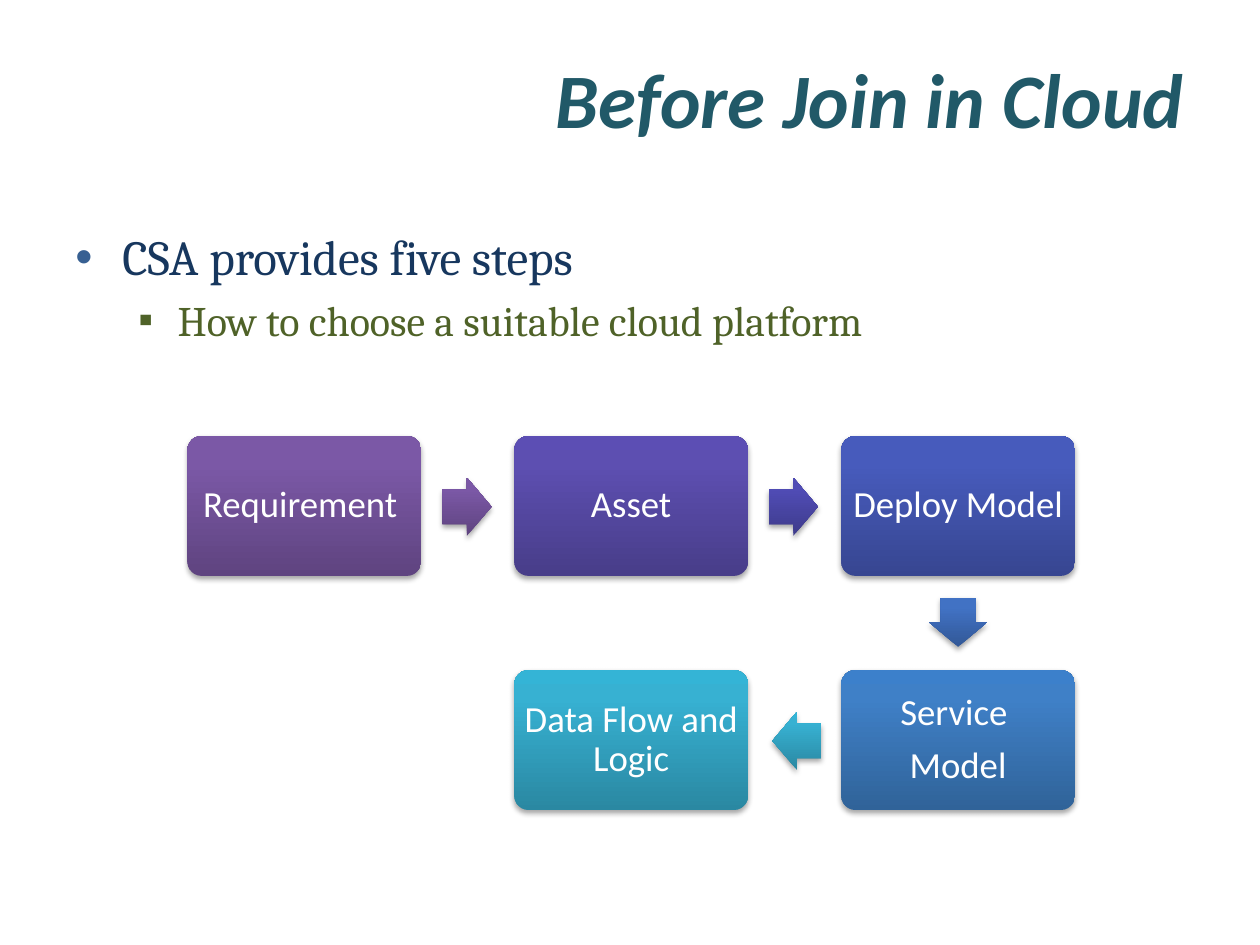
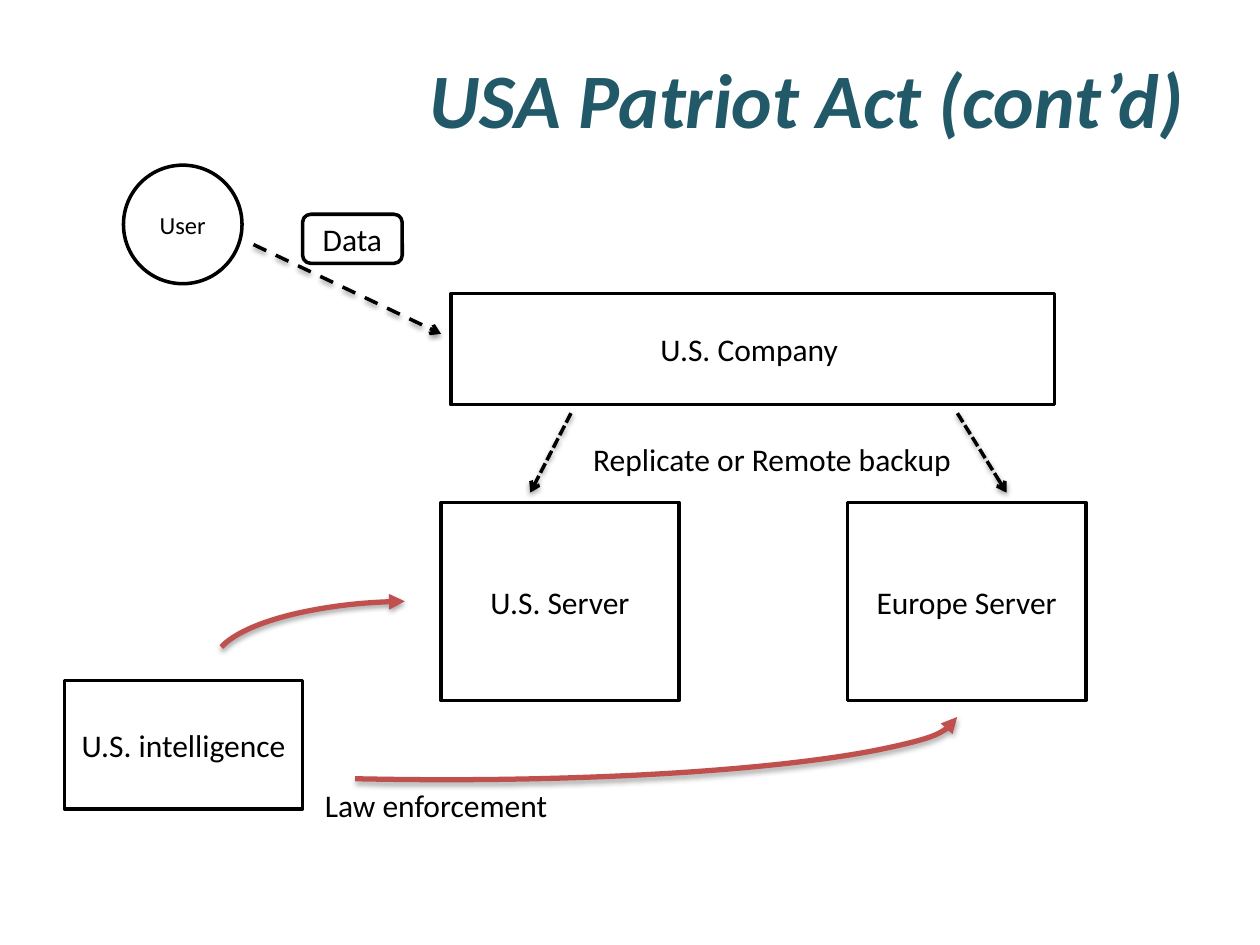
from copy import deepcopy

from lxml.etree import SubElement
from pptx import Presentation
from pptx.dml.color import RGBColor
from pptx.enum.dml import MSO_LINE
from pptx.enum.shapes import MSO_CONNECTOR, MSO_SHAPE as SHAPE
from pptx.enum.text import MSO_ANCHOR as ANCHOR, MSO_AUTO_SIZE, PP_ALIGN as ALIGN
from pptx.oxml.ns import qn
from pptx.util import Cm, Pt

COLORS = {
    "title": "215968",
    "navy": "17375E",
    "bullet": "376092",
    "green": "4F6228",
    "white": "FFFFFF",
    "black": "000000",
    "red": "C0504D",
}
# Stops from the bottom edge (0 %) over 80 % to the top edge (100 %)
GRADIENTS = {
    "purple": ("5F4480", "7B58A6", "7C57A8"),
    "violet": ("483D89", "5D4FB1", "5C4EB4"),
    "indigo": ("3E3B8B", "504CB5", "4F4BB8"),
    "royal": ("374691", "475BBC", "455ABF"),
    "blue": ("325897", "4172C4", "3F72C7"),
    "azure": ("306399", "3F80C7", "3C80CB"),
    "teal": ("2A88A2", "37B1D2", "34B4D6"),
}


def add_text(paragraph, text, size, color, font="Calibri"):
    run = paragraph.add_run()
    run.text = text
    run.font.name = font
    run.font.size = Pt(size)
    run.font.color.rgb = RGBColor.from_string(COLORS[color])
    return run


def add_shadow(shape, opacity, distance):
    properties = shape._element.spPr
    effects = properties.find(qn("a:effectLst"))
    if effects is None:
        effects = SubElement(properties, qn("a:effectLst"))
    shadow = SubElement(effects, qn("a:outerShdw"), blurRad=str(Pt(3.1)),
                        dist=str(Pt(distance)), dir="5400000", rotWithShape="0")
    color = SubElement(shadow, qn("a:srgbClr"), val=COLORS["black"])
    SubElement(color, qn("a:alpha"), val=str(opacity * 1000))


presentation = Presentation()
presentation.slide_width, presentation.slide_height = Cm(25.4), Cm(19.05)

# Slides with their shared title style
slides = []
for heading in ("Before Join in Cloud", "USA Patriot Act (cont’d)"):
    slide = presentation.slides.add_slide(presentation.slide_layouts[5])
    title = slide.shapes.title
    title.left, title.top, title.width, title.height = Cm(1.27), Cm(0.76), Cm(22.86), Cm(2.41)
    title.text_frame.auto_size = MSO_AUTO_SIZE.NONE
    title.text_frame.vertical_anchor = ANCHOR.MIDDLE
    paragraph = title.text_frame.paragraphs[0]
    paragraph.alignment = ALIGN.RIGHT
    run = add_text(paragraph, heading, 44, "title")
    run.font.bold = run.font.italic = True
    slides.append(slide)
steps_slide, patriot_slide = slides

# Slide 1: bulleted introduction
body = steps_slide.shapes.add_textbox(Cm(1.27), Cm(4.45), Cm(22.86), Cm(12.57))
frame = body.text_frame
frame.word_wrap = True
bullets = [
    ("CSA provides five steps", 28, "navy", "•", "bullet", 0.95, 0.95),
    ("How to choose a suitable cloud platform", 24, "green", "▪", "green", 2.06, 0.79),
]
for level, (text, size, color, mark, mark_color, margin, hanging) in enumerate(bullets):
    paragraph = frame.add_paragraph() if level else frame.paragraphs[0]
    paragraph.level = level
    properties = paragraph._p.get_or_add_pPr()
    properties.set("marL", str(Cm(margin)))
    properties.set("indent", str(-Cm(hanging)))
    bullet_color = SubElement(properties, qn("a:buClr"))
    SubElement(bullet_color, qn("a:srgbClr"), val=COLORS[mark_color])
    SubElement(properties, qn("a:buFont"), typeface="Arial")
    SubElement(properties, qn("a:buChar"), char=mark)
    if level:
        paragraph.space_before = Pt(0.2 * size)
    add_text(paragraph, text, size, color, "Cambria")

# Slide 1: five steps on a grid, and the arrows between them
GRID_LEFT, GRID_TOP, COLUMN_PITCH, ROW_PITCH = 3.78, 8.79, 6.59, 4.72
steps = [
    (["Requirement "], 0, 0, "purple"),
    (["Asset"], 1, 0, "violet"),
    (["Deploy Model"], 2, 0, "royal"),
    (["Service ", "Model"], 2, 1, "azure"),
    (["Data Flow and Logic"], 1, 1, "teal"),
]
flow = [
    (SHAPE.ROUNDED_RECTANGLE, GRID_LEFT + column * COLUMN_PITCH, GRID_TOP + row * ROW_PITCH,
     4.71, 2.82, (0.1,), gradient, lines)
    for lines, column, row, gradient in steps
]
arrows = [
    (SHAPE.RIGHT_ARROW, 8.92, 9.63, 0.99, 1.17, "purple"),
    (SHAPE.RIGHT_ARROW, 15.5, 9.63, 0.99, 1.17, "indigo"),
    (SHAPE.DOWN_ARROW, 18.73, 12.05, 1.17, 0.99, "blue"),
    (SHAPE.LEFT_ARROW, 15.57, 14.35, 0.99, 1.17, "teal"),
]
flow += [(*arrow[:5], (0.6, 0.5), arrow[5], []) for arrow in arrows]

for preset, left, top, width, height, adjustments, gradient, lines in flow:
    shape = steps_slide.shapes.add_shape(preset, Cm(left), Cm(top), Cm(width), Cm(height))
    shape.shadow.inherit = False
    for index, value in enumerate(adjustments):
        shape.adjustments[index] = value
    shape.line.fill.background()
    shape.fill.gradient()
    shape.fill.gradient_angle = 90
    stop_list = next(shape._element.spPr.iter(qn("a:gsLst")))
    stop_list.insert(1, deepcopy(stop_list[0]))
    for stop, position, color in zip(shape.fill.gradient_stops, (0, 0.8, 1), GRADIENTS[gradient]):
        stop.position = position
        stop.color.rgb = RGBColor.from_string(color)
    add_shadow(shape, 35, 1.8)

    frame = shape.text_frame
    frame.vertical_anchor = ANCHOR.MIDDLE
    frame.margin_left = frame.margin_right = Cm(0.1)
    for index, line in enumerate(lines):
        paragraph = frame.add_paragraph() if index else frame.paragraphs[0]
        paragraph.alignment = ALIGN.CENTER
        paragraph.line_spacing = 0.9
        paragraph.space_after = Pt(7.35)
        add_text(paragraph, line, 21, "white")

# Slide 2: outlined parties and servers
outlined = [
    ("U.S. Server", SHAPE.RECTANGLE, 8.89, 10.13, 4.8, 3.99, 18),
    ("Europe Server", SHAPE.RECTANGLE, 17.09, 10.13, 4.8, 3.99, 18),
    ("User", SHAPE.OVAL, 2.49, 3.33, 2.39, 2.39, 14),
    ("U.S. Company ", SHAPE.RECTANGLE, 9.09, 5.92, 12.17, 2.24, 18),
    ("Data", SHAPE.ROUNDED_RECTANGLE, 6.1, 4.32, 2.01, 0.99, 18),
    ("U.S. intelligence", SHAPE.RECTANGLE, 1.3, 13.72, 4.8, 2.59, 18),
]
for text, preset, left, top, width, height, size in outlined:
    shape = patriot_slide.shapes.add_shape(preset, Cm(left), Cm(top), Cm(width), Cm(height))
    shape.shadow.inherit = False
    shape.fill.background()
    shape.line.color.rgb = RGBColor.from_string(COLORS["black"])
    shape.line.width = Pt(2)
    shape.text_frame.vertical_anchor = ANCHOR.MIDDLE
    paragraph = shape.text_frame.paragraphs[0]
    paragraph.alignment = ALIGN.CENTER
    add_text(paragraph, text, size, "black")

# Slide 2: dashed data paths
data_paths = [
    (5.11, 4.93, 8.89, 6.73, MSO_LINE.DASH),
    (11.51, 8.33, 10.69, 9.93, MSO_LINE.SQUARE_DOT),
    (19.3, 8.33, 20.29, 9.93, MSO_LINE.SQUARE_DOT),
]
for start_x, start_y, end_x, end_y, dash in data_paths:
    connector = patriot_slide.shapes.add_connector(
        MSO_CONNECTOR.STRAIGHT, Cm(start_x), Cm(start_y), Cm(end_x), Cm(end_y))
    connector.line.color.rgb = RGBColor.from_string(COLORS["black"])
    connector.line.width = Pt(2)
    connector.line.dash_style = dash
    SubElement(connector._element.spPr.find(qn("a:ln")), qn("a:tailEnd"), type="arrow")
    add_shadow(connector, 38, 1.6)

# Slide 2: curved law enforcement arrows, angles in degrees
access_arcs = [
    (4.29, 12.12, 8.2, 2.59, 185.39, 259.99, "a:tailEnd"),
    (-1.3, 13.13, 20.6, 2.59, 0.17, 145.29, "a:headEnd"),
]
for left, top, width, height, start, end, arrow_end in access_arcs:
    arc = patriot_slide.shapes.add_shape(SHAPE.ARC, Cm(left), Cm(top), Cm(width), Cm(height))
    arc.shadow.inherit = False
    arc.adjustments[0], arc.adjustments[1] = start * 0.6, end * 0.6
    arc.fill.background()
    arc.line.color.rgb = RGBColor.from_string(COLORS["red"])
    arc.line.width = Pt(3)
    SubElement(arc._element.spPr.find(qn("a:ln")), qn(arrow_end), type="triangle")
    add_shadow(arc, 35, 1.8)

# Slide 2: path labels
labels = [
    ("Replicate or Remote backup", 11.71, 8.74, 7.8),
    ("Law enforcement", 6.3, 15.72, 5.21),
]
for text, left, top, width in labels:
    label = patriot_slide.shapes.add_textbox(Cm(left), Cm(top), Cm(width), Cm(1.02))
    label.text_frame.word_wrap = False
    label.text_frame.auto_size = MSO_AUTO_SIZE.SHAPE_TO_FIT_TEXT
    add_text(label.text_frame.paragraphs[0], text, 18, "black")

presentation.save("out.pptx")
